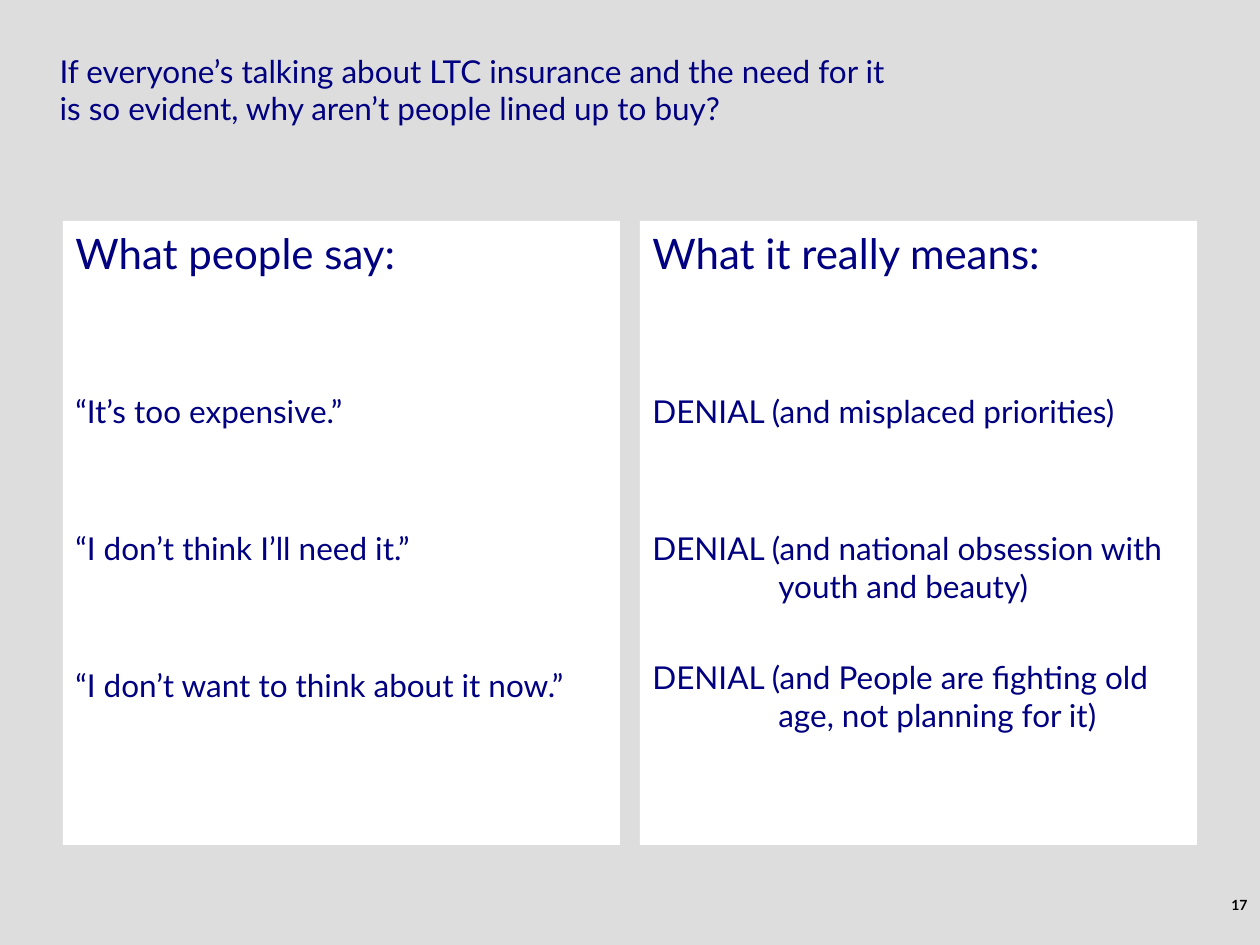
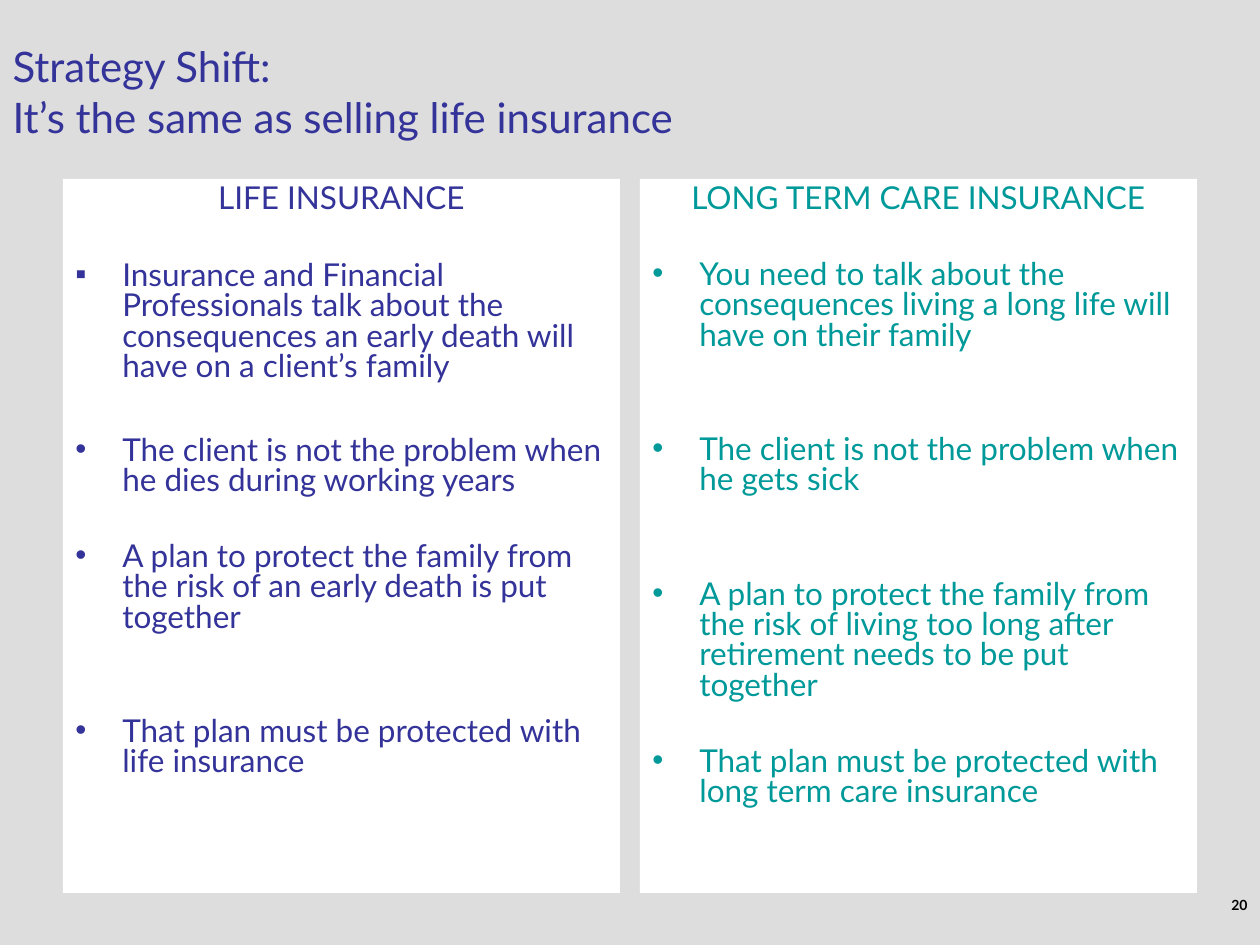
from dataclasses import dataclass
from typing import Any

from lxml.etree import SubElement
from pptx import Presentation
from pptx.dml.color import RGBColor
from pptx.enum.shapes import MSO_SHAPE
from pptx.enum.text import MSO_ANCHOR, MSO_AUTO_SIZE, PP_ALIGN
from pptx.oxml.ns import qn
from pptx.util import Emu, Inches, Pt

PX_PER_INCH = 126
SLIDE_WIDTH, SLIDE_HEIGHT = 1260, 945
TITLE_HEIGHT = 179
PANEL_LEFTS = (63, 640)
PANEL_WIDTH = 557
HANGING = 47
FONT = "Lato"
BULLET_FONT = "Arial"
GREY, WHITE, BLACK = "DDDDDD", "FFFFFF", "000000"
NAVY, INDIGO, TEAL = "000080", "333399", "009999"


@dataclass(frozen=True)
class Item:
    text: str
    space_before: float
    bullet: str = ""


@dataclass(frozen=True)
class Panel:
    heading: str
    items: tuple[Item, ...]
    color: str
    hanging: int = HANGING


@dataclass(frozen=True)
class PanelStyle:
    top: int
    height: int
    heading_size: int
    heading_align: PP_ALIGN
    line_spacing: float


@dataclass(frozen=True)
class Comparison:
    title: tuple[str, ...]
    title_size: int
    title_color: str
    title_indent: int
    title_margin_top: int
    panels: tuple[Panel, Panel]
    style: PanelStyle
    page: int


OBJECTIONS = Comparison(
    title=(
        "If everyone’s talking about LTC insurance and the need for it",
        "is so evident, why aren’t people lined up to buy?",
    ),
    title_size=18,
    title_color=NAVY,
    title_indent=HANGING,
    title_margin_top=6,
    panels=(
        Panel(
            "What people say:",
            (
                Item("“It’s too expensive.”", 65.4),
                Item("“I don’t think I’ll need it.”", 56.7),
                Item("“I don’t want to think about it now.”", 56.7),
            ),
            NAVY,
        ),
        Panel(
            "What it really means:",
            (
                Item("DENIAL (and misplaced priorities)", 65.4),
                Item("DENIAL (and national obsession with youth and beauty)", 56.7),
                Item("DENIAL (and People are fighting old age, not planning for it)", 30.6),
            ),
            NAVY,
            hanging=126,
        ),
    ),
    style=PanelStyle(221, 624, 24, PP_ALIGN.LEFT, 1.0),
    page=17,
)

STRATEGY = Comparison(
    title=("Strategy Shift:", "It’s the same as selling life insurance"),
    title_size=24,
    title_color=INDIGO,
    title_indent=0,
    title_margin_top=10,
    panels=(
        Panel(
            "LIFE INSURANCE",
            (
                Item(
                    "Insurance and Financial Professionals talk about the "
                    "consequences an early death will have on a client’s family",
                    26.8,
                    "▪",
                ),
                Item("The client is not the problem when he dies during working years", 30.6, "•"),
                Item(
                    "A plan to protect the family from the risk of an early "
                    "death is put together",
                    26.3,
                    "•",
                ),
                Item("That plan must be protected with life insurance", 48.1, "•"),
            ),
            INDIGO,
        ),
        Panel(
            "LONG TERM CARE INSURANCE",
            (
                Item(
                    "You need to talk about the consequences living a long "
                    "life will have on their family",
                    26.3,
                    "•",
                ),
                Item("The client is not the problem when he gets sick", 48.1, "•"),
                Item(
                    "A plan to protect the family from the risk of living too "
                    "long after retirement needs to be put together",
                    48.1,
                    "•",
                ),
                Item("That plan must be protected with long term care insurance", 26.3, "•"),
            ),
            TEAL,
        ),
    ),
    style=PanelStyle(179, 714, 18, PP_ALIGN.CENTER, 0.8),
    page=20,
)


def px(length: int) -> Emu:
    return Emu(round(length * Inches(1) / PX_PER_INCH))


def rgb(color: str) -> RGBColor:
    return RGBColor.from_string(color)


def apply(target: Any, values: dict[str, Any]) -> None:
    for name, value in values.items():
        setattr(target, name, value)


def place(box: Any, left: int, top: int, width: int, height: int) -> None:
    bounds = {"left": left, "top": top, "width": width, "height": height}
    apply(box, {side: px(length) for side, length in bounds.items()})


def write(paragraph: Any, text: str, size: int, color: str, bold: bool = False) -> None:
    run = paragraph.add_run()
    run.text = text
    apply(run.font, {"name": FONT, "size": Pt(size), "bold": bold})
    run.font.color.rgb = rgb(color)


def set_indent(paragraph: Any, margin: int, first_line: int) -> None:
    properties = paragraph._p.get_or_add_pPr()
    properties.set("marL", str(px(margin)))
    properties.set("indent", str(px(first_line)))


def add_bullet(paragraph: Any, symbol: str, color: str) -> None:
    properties = paragraph._p.get_or_add_pPr()
    tint = SubElement(properties, qn("a:buClr"))
    SubElement(tint, qn("a:srgbClr"), val=color)
    SubElement(properties, qn("a:buFont"), typeface=BULLET_FONT)
    SubElement(properties, qn("a:buChar"), char=symbol)


def draw_title(slide: Any, content: Comparison) -> None:
    title = slide.shapes.title
    place(title, 0, 0, SLIDE_WIDTH, TITLE_HEIGHT)
    frame = title.text_frame
    apply(frame, {
        "word_wrap": True,
        "auto_size": MSO_AUTO_SIZE.NONE,
        "vertical_anchor": MSO_ANCHOR.MIDDLE,
        "margin_top": px(content.title_margin_top),
    })
    paragraph = frame.paragraphs[0]
    paragraph.alignment = PP_ALIGN.LEFT
    set_indent(paragraph, content.title_indent, 0)
    for index, line in enumerate(content.title):
        if index:
            paragraph.add_line_break()
        write(paragraph, line, content.title_size, content.title_color)


def draw_panel(slide: Any, panel: Panel, left: int, style: PanelStyle) -> None:
    card = slide.shapes.add_shape(MSO_SHAPE.RECTANGLE, 0, 0, 0, 0)
    place(card, left, style.top, PANEL_WIDTH, style.height)
    card.shadow.inherit = False
    card.fill.solid()
    card.fill.fore_color.rgb = rgb(WHITE)
    card.line.fill.background()
    frame = card.text_frame
    apply(frame, {"word_wrap": True, "vertical_anchor": MSO_ANCHOR.TOP})
    heading = frame.paragraphs[0]
    apply(heading, {"alignment": style.heading_align, "line_spacing": style.line_spacing})
    write(heading, panel.heading, style.heading_size, panel.color)
    for item in panel.items:
        paragraph = frame.add_paragraph()
        set_indent(paragraph, panel.hanging, -panel.hanging)
        if item.bullet:
            add_bullet(paragraph, item.bullet, panel.color)
        apply(paragraph, {
            "alignment": PP_ALIGN.LEFT,
            "line_spacing": style.line_spacing,
            "space_before": Pt(item.space_before),
        })
        write(paragraph, item.text, 18, panel.color)


def draw_page_number(slide: Any, page: int) -> None:
    footer = slide.shapes.add_textbox(0, 0, 0, 0)
    place(footer, 1144, 890, 116, 24)
    footer.text_frame.word_wrap = True
    paragraph = footer.text_frame.paragraphs[0]
    paragraph.alignment = PP_ALIGN.RIGHT
    write(paragraph, str(page), 8, BLACK, bold=True)


def draw_comparison(deck: Any, content: Comparison) -> None:
    slide = deck.slides.add_slide(deck.slide_layouts.get_by_name("Title Only"))
    draw_title(slide, content)
    for panel, left in zip(content.panels, PANEL_LEFTS):
        draw_panel(slide, panel, left, content.style)
    draw_page_number(slide, content.page)


def main() -> None:
    deck = Presentation()
    apply(deck, {"slide_width": px(SLIDE_WIDTH), "slide_height": px(SLIDE_HEIGHT)})
    backdrop = deck.slide_master.background.fill
    backdrop.solid()
    backdrop.fore_color.rgb = rgb(GREY)
    for content in (OBJECTIONS, STRATEGY):
        draw_comparison(deck, content)
    deck.save("out.pptx")


if __name__ == "__main__":
    main()
